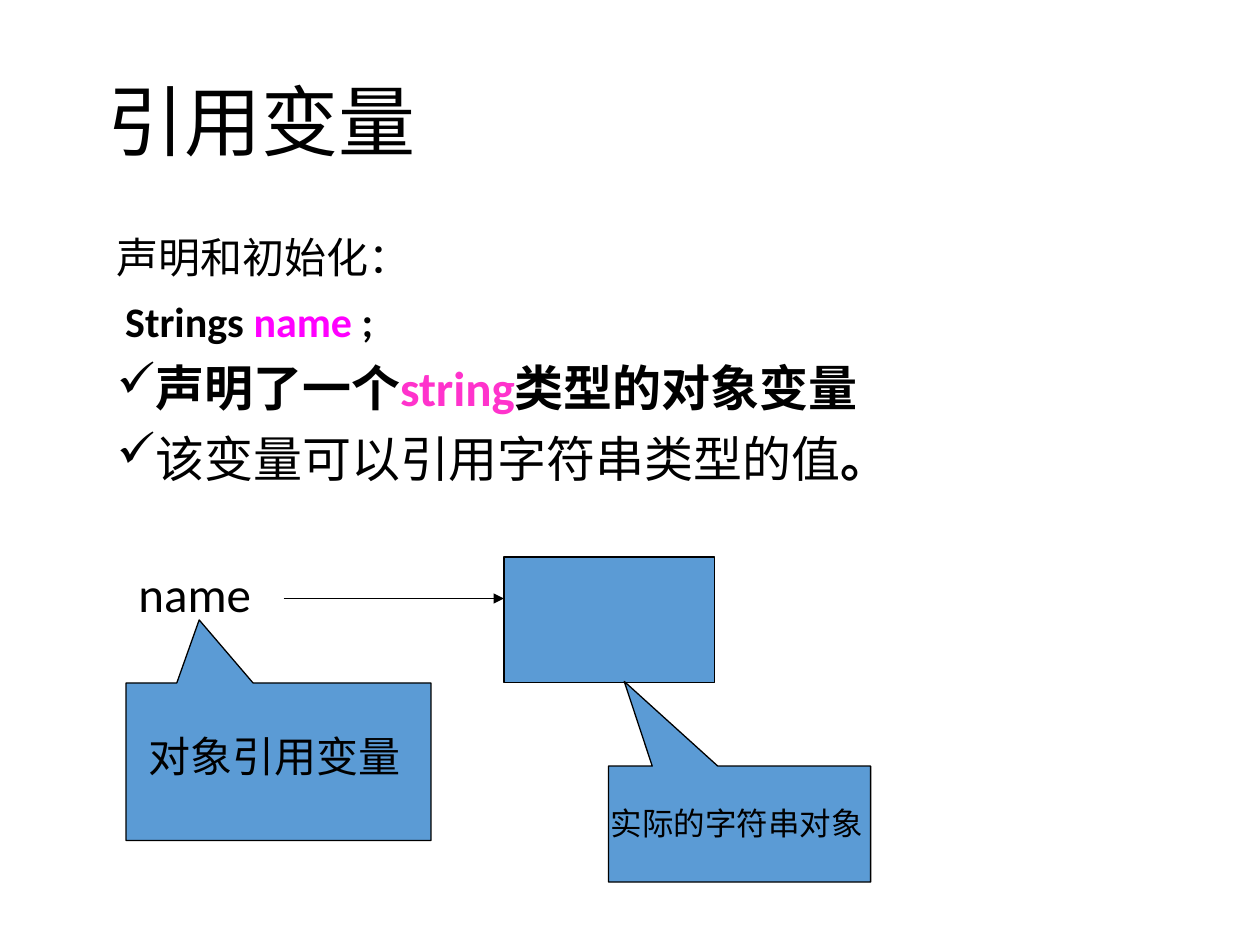
from lxml.etree import SubElement
from pptx import Presentation
from pptx.dml.color import RGBColor
from pptx.enum.shapes import MSO_CONNECTOR, MSO_SHAPE
from pptx.enum.text import MSO_ANCHOR, MSO_AUTO_SIZE, PP_ALIGN
from pptx.oxml.ns import qn
from pptx.util import Inches, Pt

BLACK = RGBColor(0x00, 0x00, 0x00)
BLUE = RGBColor(0x5B, 0x9B, 0xD5)
MAGENTA = RGBColor(0xFF, 0x00, 0xFF)
PINK = RGBColor(0xFF, 0x33, 0xCC)


def add_run(paragraph, text, size, bold=False, color=BLACK):
    run = paragraph.add_run()
    run.text = text
    font_format = {"name": "Calibri", "size": Pt(size), "bold": bold}
    for name, value in font_format.items():
        setattr(run.font, name, value)
    run.font.color.rgb = color


presentation = Presentation()
presentation.slide_width = Inches(10)
presentation.slide_height = Inches(7.5)
slide = presentation.slides.add_slide(presentation.slide_layouts[5])
shapes = slide.shapes

# Title
title = shapes.title
title_place = {"left": 0.75, "top": 0.67, "width": 8, "height": 0.66}
for name, value in title_place.items():
    setattr(title, name, Inches(value))
title.text_frame.auto_size = MSO_AUTO_SIZE.NONE
title.text_frame.vertical_anchor = MSO_ANCHOR.MIDDLE
paragraph = title.text_frame.paragraphs[0]
paragraph.alignment = PP_ALIGN.LEFT
paragraph.line_spacing = 0.9
add_run(paragraph, "引用变量", 44)

# Body: (bullet, runs of text, size, bold, colour)
body_lines = [
    (None, [("声明和初始化：", 24)]),
    (None, [(" ", 21, True), ("Strings ", 24, True), ("name ", 24, True, MAGENTA),
            (";", 24, True), (" ", 25)]),
    ("✓", [("声明了一个", 28, True), ("string", 28, True, PINK),
           ("类型的对象变量", 28, True)]),
    ("✓", [("该变量可以引用字符串类型的值", 28), ("。", 28, True)]),
]
body = shapes.add_textbox(Inches(0.83), Inches(1.83), Inches(8.17), Inches(4.78))
frame = body.text_frame
frame.word_wrap = True
for index, (bullet, runs) in enumerate(body_lines):
    paragraph = frame.add_paragraph() if index else frame.paragraphs[0]
    paragraph.line_spacing = 0.9
    paragraph.space_before = Pt(10)
    properties = paragraph._p.get_or_add_pPr()
    properties.set("marL", str(Inches(0.25)))
    properties.set("indent", str(Inches(-0.25)))
    if bullet:
        SubElement(properties, qn("a:buChar")).set("char", bullet)
    else:
        SubElement(properties, qn("a:buNone"))
    for run in runs:
        add_run(paragraph, *run)

# Arrow from the variable to its object
arrow = shapes.add_connector(
    MSO_CONNECTOR.STRAIGHT, Inches(2.25), Inches(4.75), Inches(4), Inches(4.75))
arrow.line.color.rgb = BLACK
arrow.line.width = Pt(0.75)
SubElement(arrow.line._get_or_add_ln(), qn("a:tailEnd")).set("type", "triangle")
SubElement(arrow._element.spPr, qn("a:effectLst"))

# Object box and the two callouts
boxes = [
    (MSO_SHAPE.RECTANGLE, (4, 4.42, 1.67, 1), ()),
    (MSO_SHAPE.RECTANGULAR_CALLOUT, (1, 5.42, 2.42, 1.25), (-0.26, -0.9)),
    (MSO_SHAPE.RECTANGULAR_CALLOUT, (4.83, 6.08, 2.08, 0.92), (-0.44, -1.23)),
]
for kind, place, pointer in boxes:
    box = shapes.add_shape(kind, *map(Inches, place))
    for index, value in enumerate(pointer):
        box.adjustments[index] = value
    box.shadow.inherit = False
    box.fill.solid()
    box.fill.fore_color.rgb = BLUE
    box.line.color.rgb = BLACK
    box.line.width = Pt(0.75)

# Labels
labels = [
    ("name", 28, (1, 4.42, 1.92, 0.57)),
    ("对象引用变量", 24, (1.08, 5.75, 2.42, 0.5)),
    ("实际的字符串对象", 18, (4.75, 6.33, 2.42, 0.4)),
]
for text, size, place in labels:
    label = shapes.add_textbox(*map(Inches, place))
    label.text_frame.word_wrap = True
    label.text_frame.auto_size = MSO_AUTO_SIZE.SHAPE_TO_FIT_TEXT
    add_run(label.text_frame.paragraphs[0], text, size)

presentation.save("out.pptx")
